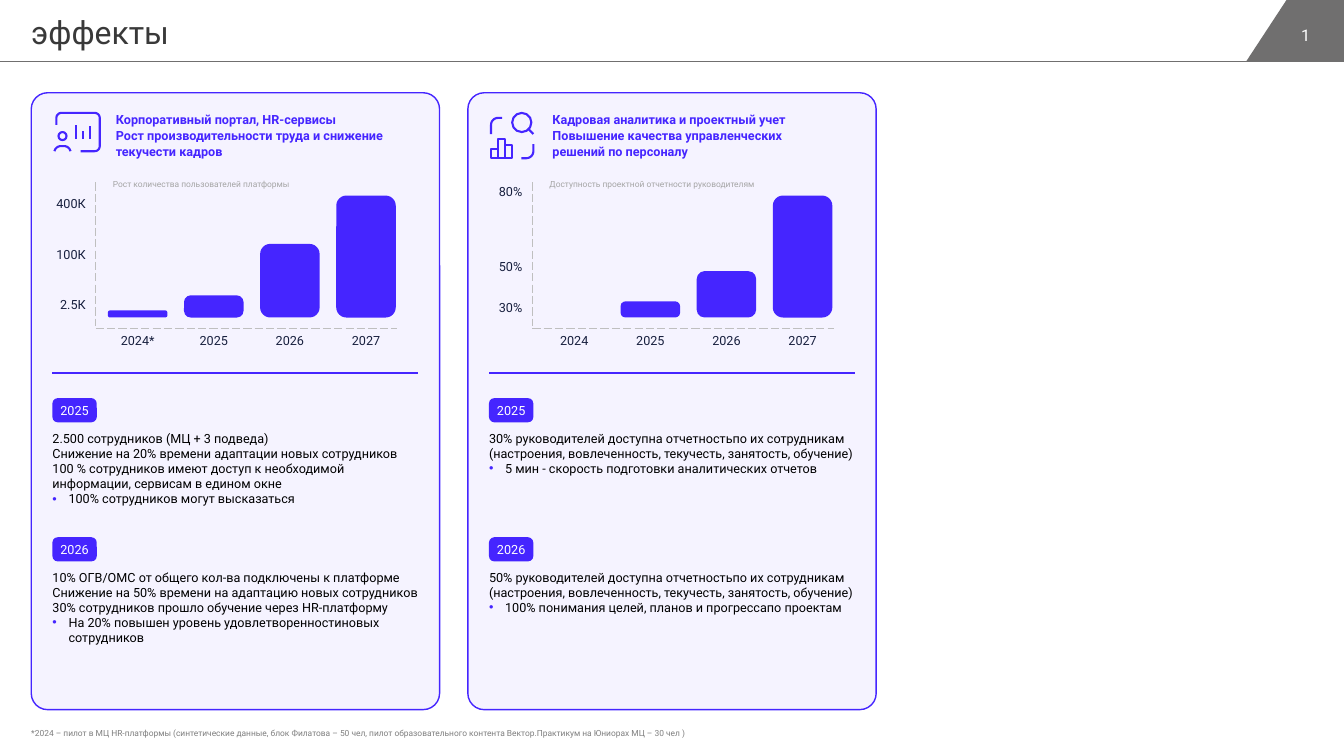
from math import cos, hypot, pi, sin

from lxml.etree import SubElement
from pptx import Presentation
from pptx.dml.color import RGBColor
from pptx.enum.dml import MSO_LINE
from pptx.enum.shapes import MSO_CONNECTOR, MSO_SHAPE
from pptx.enum.text import MSO_ANCHOR, MSO_AUTO_SIZE, PP_ALIGN
from pptx.oxml.ns import qn
from pptx.util import Inches, Pt

COLORS = {"accent": "4525FF", "title": "393939", "header": "706F6F", "white": "FFFFFF",
          "note": "7F7F7F", "label": "171F3E", "caption": "A5A5A5", "axis": "BFBFBF",
          "body": "000000"}

TITLE = "эффекты"
FOOTNOTE = ("*2024 – пилот в МЦ HR-платформы (синтетические данные, блок Филатова – 50 чел, "
            "пилот образовательного контента Вектор.Практикум на Юниорах МЦ – 30 чел )")

# Bars: (year, height); scale: (label, top); the last line of each effects list is bulleted.
PANELS = [
    {"left": 0.31,
     "heading": ["Корпоративный портал, HR-сервисы",
                 "Рост производительности труда и снижение текучести кадров"],
     "caption": "Рост количества пользователей платформы",
     "scale": [("400К", 1.94), ("100К", 2.45), ("2.5К", 2.95)],
     "bars": [("2024*", 0.07), ("2025", 0.22), ("2026", 0.73), ("2027", 1.21)],
     "effects": [
         ("2025", ["2.500 сотрудников (МЦ + 3 подведа)",
                   "Снижение на 20% времени адаптации новых сотрудников",
                   "100 % сотрудников имеют доступ к необходимой информации, "
                   "сервисам в едином окне",
                   "100% сотрудников могут высказаться"]),
         ("2026", ["10% ОГВ/ОМС от общего кол-ва подключены к платформе",
                   "Снижение на 50% времени на адаптацию новых сотрудников",
                   "30% сотрудников прошло обучение через HR-платформу",
                   "На 20% повышен уровень удовлетворенностиновых сотрудников"])]},
    {"left": 4.64,
     "heading": ["Кадровая аналитика и проектный учет Повышение качества управленческих "
                 "решений по персоналу"],
     "caption": "Доступность проектной отчетности руководителям",
     "scale": [("80%", 1.82), ("50%", 2.57), ("30%", 2.97)],
     "bars": [("2024", 0), ("2025", 0.16), ("2026", 0.46), ("2027", 1.21)],
     "effects": [
         ("2025", ["30% руководителей доступна отчетностьпо их сотрудникам "
                   "(настроения, вовлеченность, текучесть, занятость, обучение)",
                   "5 мин - скорость подготовки аналитических отчетов"]),
         ("2026", ["50% руководителей доступна отчетностьпо их сотрудникам "
                   "(настроения, вовлеченность, текучесть, занятость, обучение)",
                   "100% понимания целей, планов и прогрессапо проектам"])]},
]

# Icon parts: bent outlines as (corner radius, points), then ovals, boxes and straight strokes.
ICON_BENDS = [
    (0.05, [(0.56, 1.24), (0.56, 1.12), (0.99, 1.12), (0.99, 1.5), (0.8, 1.5)]),
    (0.04, [(0.54, 1.5), (0.56, 1.45), (0.68, 1.45), (0.7, 1.5)]),
    (0.07, [(5.17, 1.57), (5.29, 1.57), (5.29, 1.43)]),
    (0.07, [(4.87, 1.33), (4.87, 1.17), (4.98, 1.17)]),
]
ICON_OVALS = [(0.58, 1.31, 0.08, 0.08), (5.08, 1.12, 0.19, 0.19)]
ICON_BOXES = [(4.87, 1.48, 0.07, 0.09), (4.94, 1.38, 0.07, 0.19), (5.01, 1.44, 0.07, 0.13)]
ICON_STROKES = [(0.75, 1.38, 0.75, 1.24), (0.82, 1.38, 0.82, 1.3),
                (0.89, 1.38, 0.89, 1.25), (5.24, 1.28, 5.29, 1.33)]

BAR_WIDTH, BAR_STEP, BAR_BOTTOM = 0.59, 0.755, 3.15
TAG_TOPS = (3.95, 5.33)


def rgb(color):
    return RGBColor.from_string(COLORS[color])


def place(part, *box):
    part.left, part.top, part.width, part.height = map(Inches, box)
    return part


def write(holder, lines, color, size=9, bold=False, inset=0, anchor=MSO_ANCHOR.TOP,
          align=PP_ALIGN.LEFT, spacing=1.0, bullet_last=False):
    frame = holder.text_frame
    margins = {f"margin_{side}": Inches(inset) for side in ("left", "right", "top", "bottom")}
    frame_format = {"word_wrap": True, "auto_size": MSO_AUTO_SIZE.NONE,
                    "vertical_anchor": anchor, **margins}
    for name, value in frame_format.items():
        setattr(frame, name, value)
    paragraph_format = {"alignment": align, "line_spacing": spacing,
                        "space_before": Pt(0), "space_after": Pt(0)}
    font_format = {"name": "Roboto", "size": Pt(size), "bold": bold}
    for number, line in enumerate(lines, 1):
        paragraph = frame.paragraphs[0] if number == 1 else frame.add_paragraph()
        set_bullet(paragraph, bullet_last and number == len(lines))
        for name, value in paragraph_format.items():
            setattr(paragraph, name, value)
        run = paragraph.add_run()
        run.text = line
        for name, value in font_format.items():
            setattr(run.font, name, value)
        run.font.color.rgb = rgb(color)


def set_bullet(paragraph, shown):
    properties = paragraph._p.get_or_add_pPr()
    indent = Inches(0.16) if shown else 0
    properties.set("marL", str(indent))
    properties.set("indent", str(-indent))
    if shown:
        bullet_color = SubElement(properties, qn("a:buClr"))
        SubElement(bullet_color, qn("a:srgbClr"), val=COLORS["accent"])
        SubElement(properties, qn("a:buChar"), char="•")
    else:
        SubElement(properties, qn("a:buNone"))


def paint(shape, fill=None, line=None, width=1.0, alpha=None):
    shape.shadow.inherit = False
    if fill:
        shape.fill.solid()
        shape.fill.fore_color.rgb = rgb(fill)
        if alpha:
            color = shape._element.spPr.find(qn("a:solidFill"))[0]
            SubElement(color, qn("a:alpha"), val=str(alpha * 1000))
    else:
        shape.fill.background()
    if line:
        shape.line.color.rgb = rgb(line)
        shape.line.width = Pt(width)
    else:
        shape.line.fill.background()


def add_text(slide, box, lines, color, **style):
    write(slide.shapes.add_textbox(*map(Inches, box)), lines, color, **style)


def add_preset(slide, kind, box, radius=None, **look):
    shape = slide.shapes.add_shape(kind, *map(Inches, box))
    if radius is not None:
        shape.adjustments[0] = radius
    paint(shape, **look)
    return shape


def add_line(slide, ends, color, width, dash=None):
    line = slide.shapes.add_connector(MSO_CONNECTOR.STRAIGHT, *map(Inches, ends))
    line.line.color.rgb = rgb(color)
    line.line.width = Pt(width)
    if dash:
        line.line.dash_style = dash
    SubElement(line._element.spPr, qn("a:effectLst"))


def add_outline(slide, points, close, **look):
    start, *rest = [(Inches(x), Inches(y)) for x, y in points]
    builder = slide.shapes.build_freeform(*start)
    builder.add_line_segments(rest, close=close)
    paint(builder.convert_to_shape(), **look)


def round_corners(points, radius, steps=8):
    """Replace each inner corner with a short run of points along a quarter ellipse."""
    rounded = [points[0]]
    for before, corner, after in zip(points, points[1:], points[2:]):
        arms = []
        for end in (before, after):
            dx, dy = end[0] - corner[0], end[1] - corner[1]
            reach = min(radius / hypot(dx, dy), 1)
            arms.append((dx * reach, dy * reach))
        for step in range(steps + 1):
            angle = pi / 2 * step / steps
            weights = (1 - sin(angle), 1 - cos(angle))
            rounded.append(tuple(corner[axis] + sum(w * arm[axis] for w, arm in zip(weights, arms))
                                 for axis in (0, 1)))
    return rounded + [points[-1]]


def add_header(slide):
    write(place(slide.shapes.title, 0.31, 0.12, 7.72, 0.38), [TITLE], "title", size=22.8)
    add_line(slide, (0, 0.61, 13.33, 0.61), "header", 0.5)
    add_outline(slide, [(12.76, 0), (13.33, 0), (13.33, 0.61), (12.36, 0.61)], True, fill="header")
    add_text(slide, (12.65, 0.15, 0.6, 0.4), ["1"], "white", size=11.5,
             anchor=MSO_ANCHOR.MIDDLE, align=PP_ALIGN.CENTER)


def add_bars(slide, panel):
    left = panel["left"]
    for ends in ((left + 0.64, 3.26, left + 3.63, 3.26), (left + 0.64, 1.81, left + 0.64, 3.23)):
        add_line(slide, ends, "axis", 0.75, MSO_LINE.LONG_DASH)
    add_text(slide, (left + 0.81, 1.78, 2.07, 0.2), [panel["caption"]], "caption", size=6)
    for label, top in panel["scale"]:
        add_text(slide, (left + 0.16, top, 0.38, 0.15), [label], "label", align=PP_ALIGN.RIGHT)
    for index, (year, height) in enumerate(panel["bars"]):
        x = left + 0.76 + index * BAR_STEP
        add_text(slide, (x, 3.3, BAR_WIDTH, 0.15), [year], "label", align=PP_ALIGN.CENTER)
        if height:
            add_preset(slide, MSO_SHAPE.ROUNDED_RECTANGLE,
                       (x, BAR_BOTTOM - height, BAR_WIDTH, height),
                       radius=0.17 if height > 0.3 else 0.3, fill="accent")


def add_panel(slide, panel, bodies):
    left = panel["left"]
    add_preset(slide, MSO_SHAPE.ROUNDED_RECTANGLE, (left, 0.92, 4.05, 6.12), radius=0.04,
               fill="accent", line="accent", alpha=5)
    add_text(slide, (left + 0.84, 1.1, 2.8, 0.48), panel["heading"], "accent",
             bold=True, spacing=1.07)
    add_bars(slide, panel)
    add_line(slide, (left + 0.21, 3.7, left + 3.84, 3.7), "accent", 1)
    for (year, lines), top, body in zip(panel["effects"], TAG_TOPS, bodies):
        tag = add_preset(slide, MSO_SHAPE.ROUNDED_RECTANGLE, (left + 0.21, top, 0.44, 0.24),
                         radius=0.22, fill="accent")
        write(tag, [year], "white", inset=0.04, anchor=MSO_ANCHOR.MIDDLE, align=PP_ALIGN.CENTER)
        write(place(body, left + 0.21, top + 0.32, 3.63, 1.03), lines, "body", bullet_last=True)
        slide.shapes._spTree.append(body._element)


def add_icons(slide):
    stroke = {"line": "accent", "width": 1.5}
    for radius, points in ICON_BENDS:
        add_outline(slide, round_corners(points, radius), False, **stroke)
    for kind, boxes in ((MSO_SHAPE.OVAL, ICON_OVALS), (MSO_SHAPE.RECTANGLE, ICON_BOXES)):
        for box in boxes:
            add_preset(slide, kind, box, **stroke)
    for ends in ICON_STROKES:
        add_line(slide, ends, "accent", 1.5)


def main():
    deck = Presentation()
    deck.slide_width, deck.slide_height = Inches(13.33), Inches(7.5)
    slide = deck.slides.add_slide(deck.slide_layouts.get_by_name("Comparison"))
    bodies = [body for body in slide.placeholders if 1 <= body.placeholder_format.idx <= 4]
    add_header(slide)
    for index, panel in enumerate(PANELS):
        add_panel(slide, panel, bodies[2 * index:2 * index + 2])
    add_icons(slide)
    add_text(slide, (0.31, 7.22, 7.79, 0.1), [FOOTNOTE], "note", size=6)
    deck.save("out.pptx")


if __name__ == "__main__":
    main()
